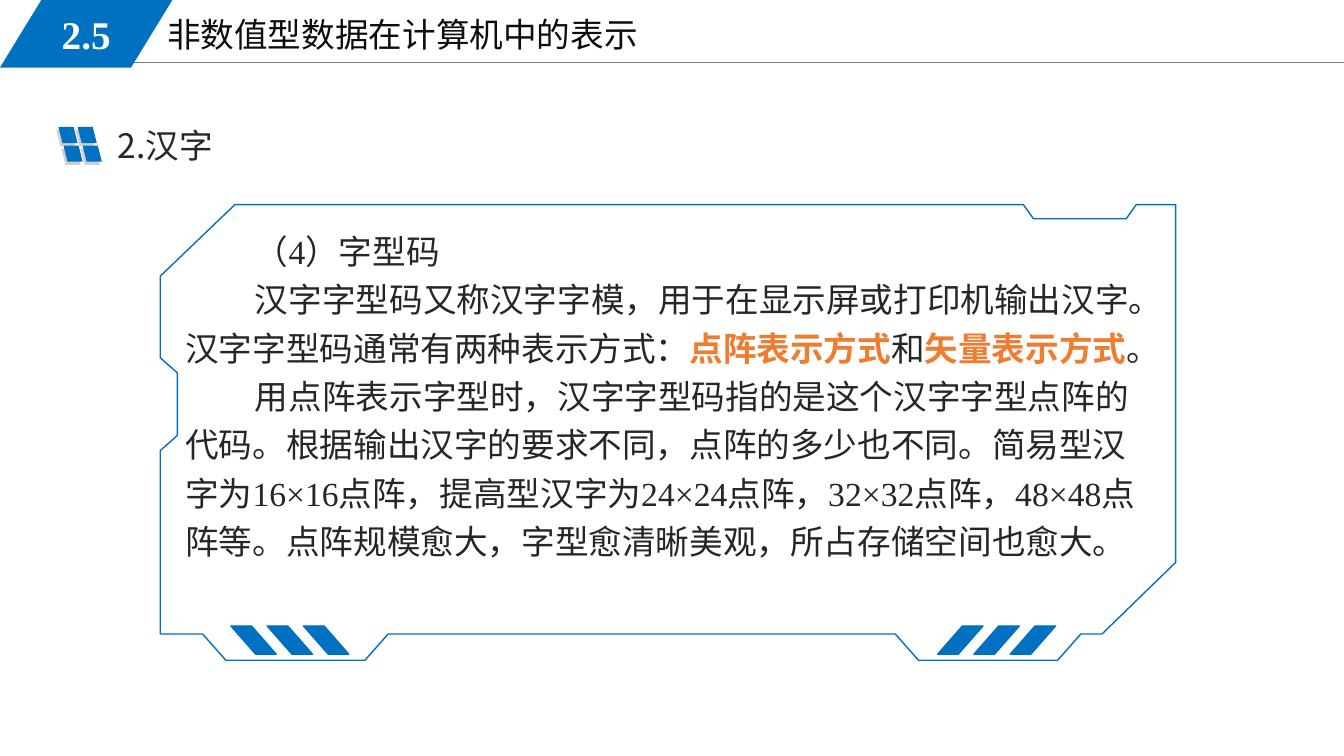
from pptx import Presentation
from pptx.dml.color import RGBColor
from pptx.enum.shapes import MSO_CONNECTOR, MSO_SHAPE
from pptx.enum.text import MSO_ANCHOR, MSO_AUTO_SIZE, PP_ALIGN
from pptx.oxml.ns import qn
from pptx.util import Inches, Pt
from lxml import etree

STRAIGHT = MSO_CONNECTOR.STRAIGHT
PARALLELOGRAM = MSO_SHAPE.PARALLELOGRAM
MIDDLE = MSO_ANCHOR.MIDDLE
FIT_SHAPE = MSO_AUTO_SIZE.SHAPE_TO_FIT_TEXT
CENTER = PP_ALIGN.CENTER

COLORS = {
    "blue": "0070C0", "orange": "ED7D31", "white": "FFFFFF", "rule": "808080",
    "shade": "D0CECE", "title": "0D0D0D", "text": "262626",
}
LATIN = "Times New Roman"
CJK = "Noto Sans CJK SC"


def rgb(name):
    return RGBColor.from_string(COLORS[name])


def add_run(p, text, size=24, font=LATIN, color="text", bold=False):
    r = p.add_run()
    r.text = text
    r.font.size = Pt(size)
    r.font.name = font
    r.font.bold = bold
    r.font.color.rgb = rgb(color)
    ea = etree.SubElement(r.font._element, qn("a:ea"))
    ea.set("typeface", CJK)


class SlideBuilder:
    def __init__(self, slide):
        self.shapes = slide.shapes

    def line(self, x1, y1, x2, y2, color, width):
        cx = self.shapes.add_connector(
            STRAIGHT, Inches(x1), Inches(y1), Inches(x2), Inches(y2))
        cx.line.color.rgb = rgb(color)
        cx.line.width = Pt(width)
        etree.SubElement(cx._element.spPr, qn("a:effectLst"))

    def parallelogram(self, x, y, w, h, color, adj=0.25, flip=False, outline=None):
        sp = self.shapes.add_shape(
            PARALLELOGRAM, Inches(x), Inches(y), Inches(w), Inches(h))
        sp.adjustments[0] = adj
        sp.shadow.inherit = False
        sp.fill.solid()
        sp.fill.fore_color.rgb = rgb(color)
        if outline:
            sp.line.color.rgb = rgb(color)
            sp.line.width = Pt(outline)
        else:
            sp.line.fill.background()
        if flip:
            sp._element.spPr.find(qn("a:xfrm")).set("flipH", "1")
        return sp

    def outline(self, points, color, width):
        corners = [(Inches(x), Inches(y)) for x, y in points]
        builder = self.shapes.build_freeform(*corners[0])
        builder.add_line_segments(corners[1:], close=True)
        sp = builder.convert_to_shape()
        sp.shadow.inherit = False
        sp.fill.background()
        sp.line.color.rgb = rgb(color)
        sp.line.width = Pt(width)

    def text(self, x, y, w, h, paragraphs, indent=0, spacing=None, **style):
        """Each paragraph is a list of (text, format overrides)."""
        sp = self.shapes.add_textbox(Inches(x), Inches(y), Inches(w), Inches(h))
        tf = sp.text_frame
        tf.word_wrap = True
        tf.auto_size = FIT_SHAPE
        for i, runs in enumerate(paragraphs):
            p = tf.add_paragraph() if i else tf.paragraphs[0]
            if indent:
                p._p.get_or_add_pPr().set("indent", str(Inches(indent)))
            if spacing:
                p.line_spacing = spacing
            for text, changes in runs:
                add_run(p, text, **{**style, **changes})


def main():
    prs = Presentation()
    prs.slide_width = Inches(13.33)
    prs.slide_height = Inches(7.5)
    s = SlideBuilder(prs.slides.add_slide(prs.slide_layouts[6]))

    # Header
    s.line(1.13, 0.62, 13.33, 0.62, "rule", 0.75)
    s.text(1.56, 0.09, 5.67, 0.51,
           [[("非数值型数据在计算机中的表示", {})]], color="title")
    badge = s.parallelogram(0, 0, 1.71, 0.67, "blue", adj=0.612)
    tf = badge.text_frame
    tf.vertical_anchor = MIDDLE
    tf.paragraphs[0].alignment = CENTER
    add_run(tf.paragraphs[0], "2.5", size=28, color="white", bold=True)

    # Body text
    key = {"color": "orange", "bold": True}
    s.text(1.74, 2.16, 9.78, 3.98, [
        [("（4）字型码", {})],
        [("汉字字型码又称汉字字模，用于在显示屏或打印机输出汉字。"
          "汉字字型码通常有两种表示方式：", {}),
         ("点阵表示方式", key), ("和", {}), ("矢量表示方式", key), ("。", {})],
        [("用点阵表示字型时，汉字字型码指的是这个汉字字型点阵的代码。"
          "根据输出汉字的要求不同，点阵的多少也不同。"
          "简易型汉字为16×16点阵，提高型汉字为24×24点阵，32×32点阵，48×48点阵等。"
          "点阵规模愈大，字型愈清晰美观，所占存储空间也愈大。", {})],
    ], indent=0.69, spacing=1.2)

    # Frame with notches, and the stripes in its feet
    s.outline([
        (9.11, 6.55), (10.49, 6.55), (10.72, 6.29), (10.93, 6.29), (11.66, 5.58),
        (11.66, 2.03), (11.27, 2.03), (11.17, 2.17), (10.25, 2.17), (10.15, 2.03),
        (2.33, 2.03), (1.59, 2.74), (1.59, 3.55), (1.76, 3.7), (1.76, 4.32),
        (1.59, 4.47), (1.59, 6.29), (2.01, 6.29), (2.24, 6.55), (3.62, 6.55),
        (3.85, 6.29), (8.88, 6.29),
    ], "blue", 1)
    for left, flip in ((9.3, False), (2.29, True)):
        for i in range(3):
            s.parallelogram(left + 0.36 * i, 6.21, 0.45, 0.28, "blue",
                            adj=0.878, flip=flip, outline=1)

    # Window-pane marker with its shade, and the heading
    for left, top, color in ((0.56, 1.29, "shade"), (0.58, 1.26, "blue")):
        for row in range(2):
            for col in range(2):
                s.parallelogram(left + 0.19 * col + 0.05 * row, top + 0.185 * row,
                                0.19, 0.16, color, flip=True)
    s.text(1.07, 1.19, 5.12, 0.5, [[("2.汉字", {})]], font=CJK)

    prs.save("out.pptx")


if __name__ == "__main__":
    main()
